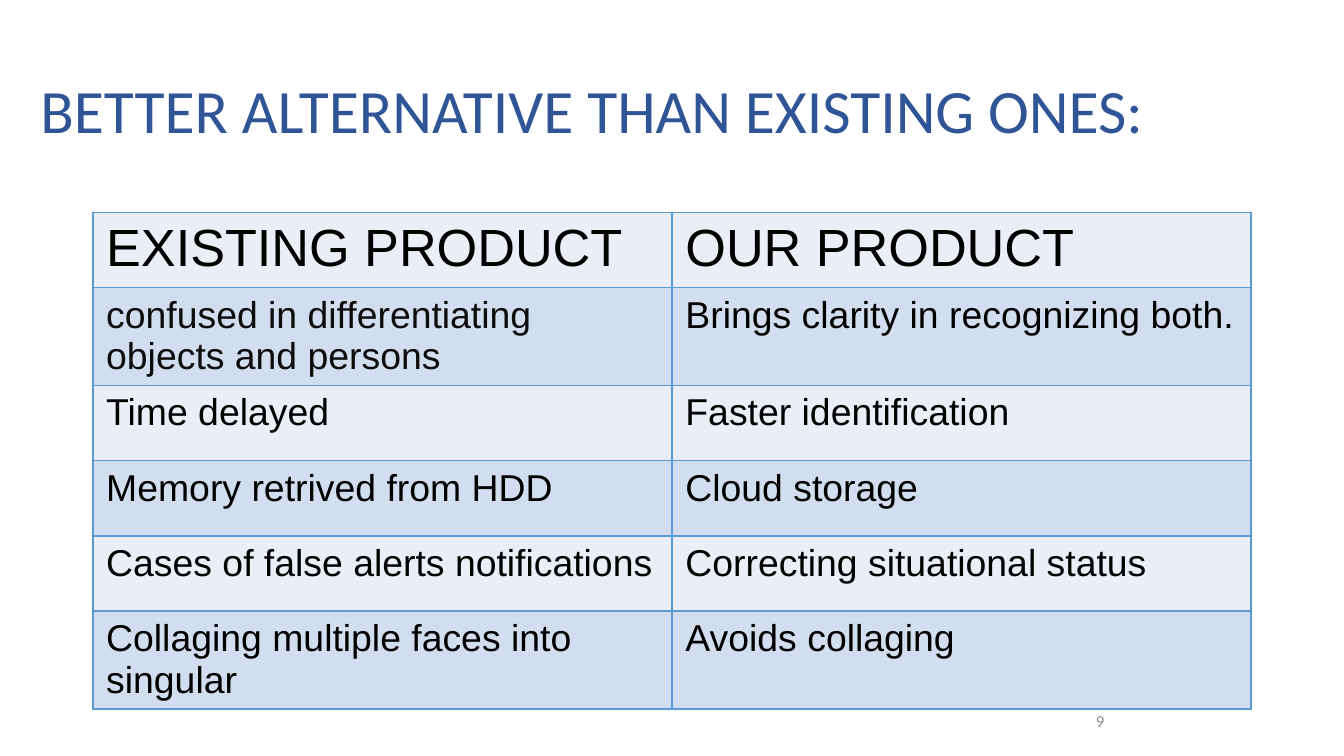
import pptx
import pptx.util
import pptx.dml.color
import pptx.enum.text
import pptx.oxml

Inches = pptx.util.Inches
ANCHOR = pptx.enum.text.MSO_ANCHOR
ALIGN = pptx.enum.text.PP_ALIGN

HEADER_FILL = "EAEFF7"
BAND_FILL = "D2DEEF"
BORDER = "5B9BD5"
ROWS = [
    ("EXISTING PRODUCT", "OUR PRODUCT"),
    ("confused in differentiating objects and persons",
     "Brings clarity in recognizing both."),
    ("Time delayed", "Faster identification"),
    ("Memory retrived from HDD", "Cloud storage"),
    ("Cases of false alerts notifications", "Correcting situational status"),
    ("Collaging multiple faces into singular", "Avoids collaging"),
]


def color(value):
    return pptx.dml.color.RGBColor.from_string(value)


def set_font(paragraph, name, size, value):
    paragraph.font.name = name
    paragraph.font.size = pptx.util.Pt(size)
    paragraph.font.color.rgb = color(value)


def set_borders(cell, value, width):
    """Outline all four sides; the lines must precede the cell's fill."""
    properties = cell._tc.get_or_add_tcPr()
    for index, side in enumerate(("lnL", "lnR", "lnT", "lnB")):
        line = pptx.oxml.parse_xml(
            '<a:%s xmlns:a="http://schemas.openxmlformats.org/drawingml/2006/main" w="%d">'
            '<a:solidFill><a:srgbClr val="%s"/></a:solidFill></a:%s>'
            % (side, pptx.util.Pt(width), value, side))
        properties.insert(index, line)


def add_title(slide, left, top, width, height):
    title = slide.shapes.title
    title.left, title.top = Inches(left), Inches(top)
    title.width, title.height = Inches(width), Inches(height)
    frame = title.text_frame
    frame.text = "BETTER ALTERNATIVE THAN EXISTING ONES:"
    frame.word_wrap = True
    frame.auto_size = pptx.enum.text.MSO_AUTO_SIZE.NONE
    frame.vertical_anchor = ANCHOR.MIDDLE
    paragraph = frame.paragraphs[0]
    paragraph.alignment = ALIGN.LEFT
    paragraph.line_spacing = 0.9
    set_font(paragraph, "Calibri", 33, "2F5597")


def add_comparison(slide, left, top, width, row_height):
    table = slide.shapes.add_table(
        len(ROWS), 2, Inches(left), Inches(top),
        Inches(width), Inches(row_height * len(ROWS))).table
    for row_index, texts in enumerate(ROWS):
        table.rows[row_index].height = Inches(row_height)
        for column_index, text in enumerate(texts):
            cell = table.cell(row_index, column_index)
            cell.text = text
            cell.margin_bottom = Inches(0.01)
            cell.fill.solid()
            cell.fill.fore_color.rgb = color(BAND_FILL if row_index % 2 else HEADER_FILL)
            set_borders(cell, BORDER, 1)
            paragraph = cell.text_frame.paragraphs[0]
            set_font(paragraph, "Arial", 20 if row_index else 28, "000000")
            paragraph.font.bold = False
    # The first comparison is slightly lighter than the rest
    table.cell(1, 0).text_frame.paragraphs[0].font.color.rgb = color("0D0D0D")


def add_page_number(slide, left, top, width, height):
    box = slide.shapes.add_textbox(Inches(left), Inches(top), Inches(width), Inches(height))
    frame = box.text_frame
    frame.word_wrap = True
    frame.vertical_anchor = ANCHOR.MIDDLE
    frame.text = "9"
    paragraph = frame.paragraphs[0]
    paragraph.alignment = ALIGN.CENTER
    set_font(paragraph, "Calibri", 9, "8C8C8C")


def main():
    presentation = pptx.Presentation()
    # Widescreen, 16 to 9
    presentation.slide_width = Inches(10)
    presentation.slide_height = presentation.slide_width * 9 // 16
    slide = presentation.slides.add_slide(presentation.slide_layouts[5])
    add_title(slide, 0.2, 0.3, 8.66, 1.09)
    add_page_number(slide, 7.06, 5.21, 2.25, 0.3)
    add_comparison(slide, 0.69, 1.58, 8.62, 0.56)
    presentation.save("out.pptx")


if __name__ == "__main__":
    main()
